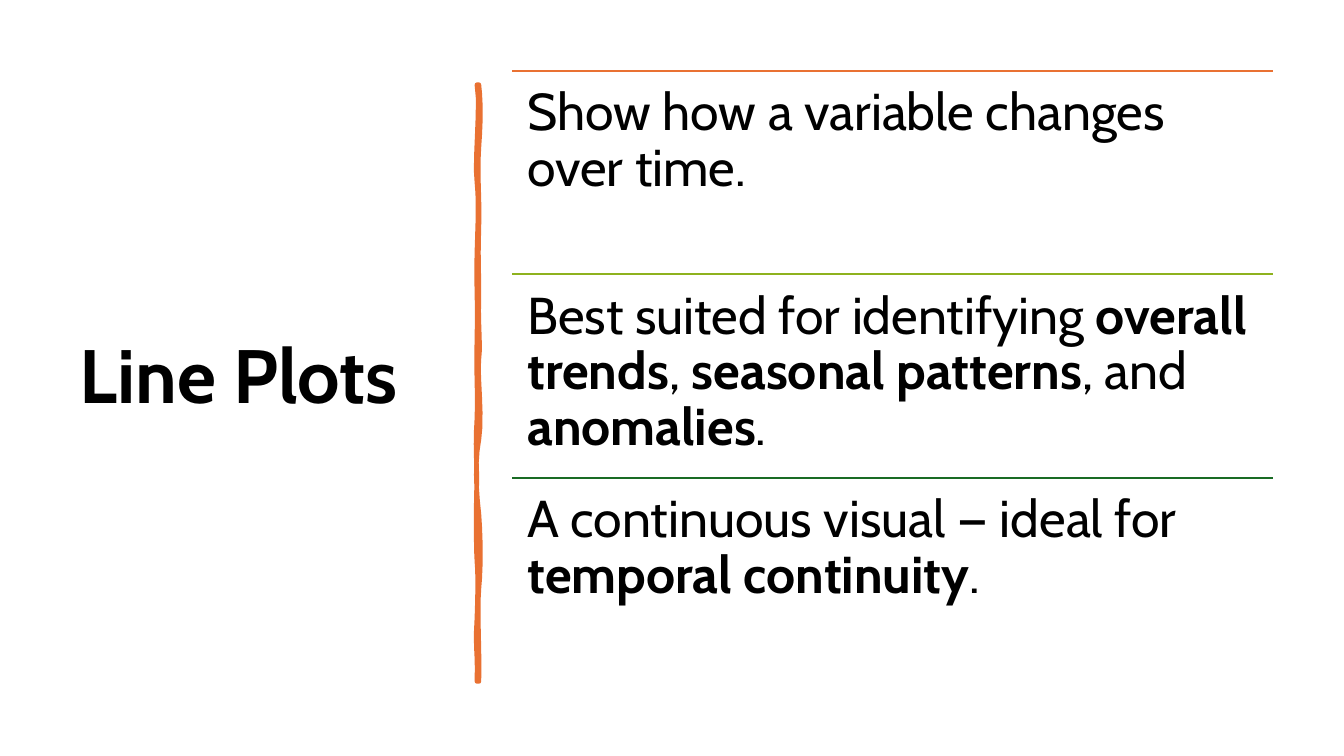
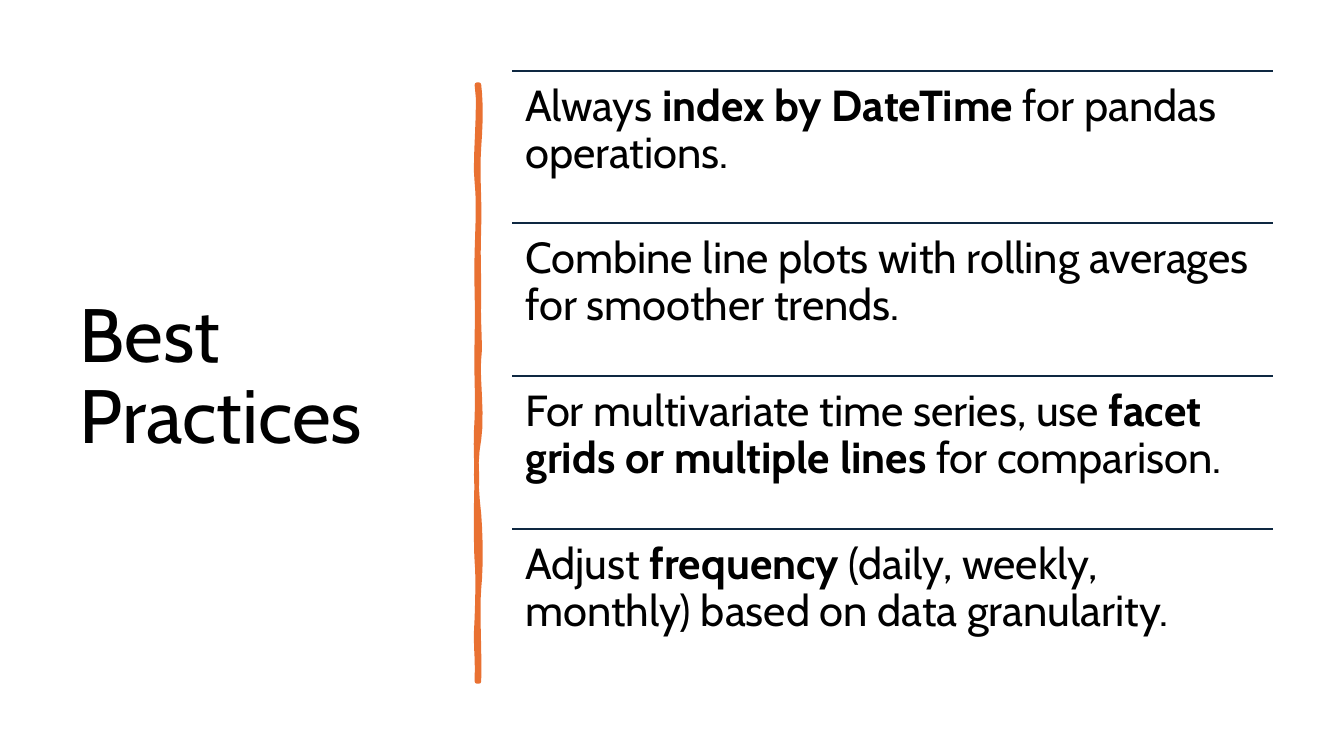
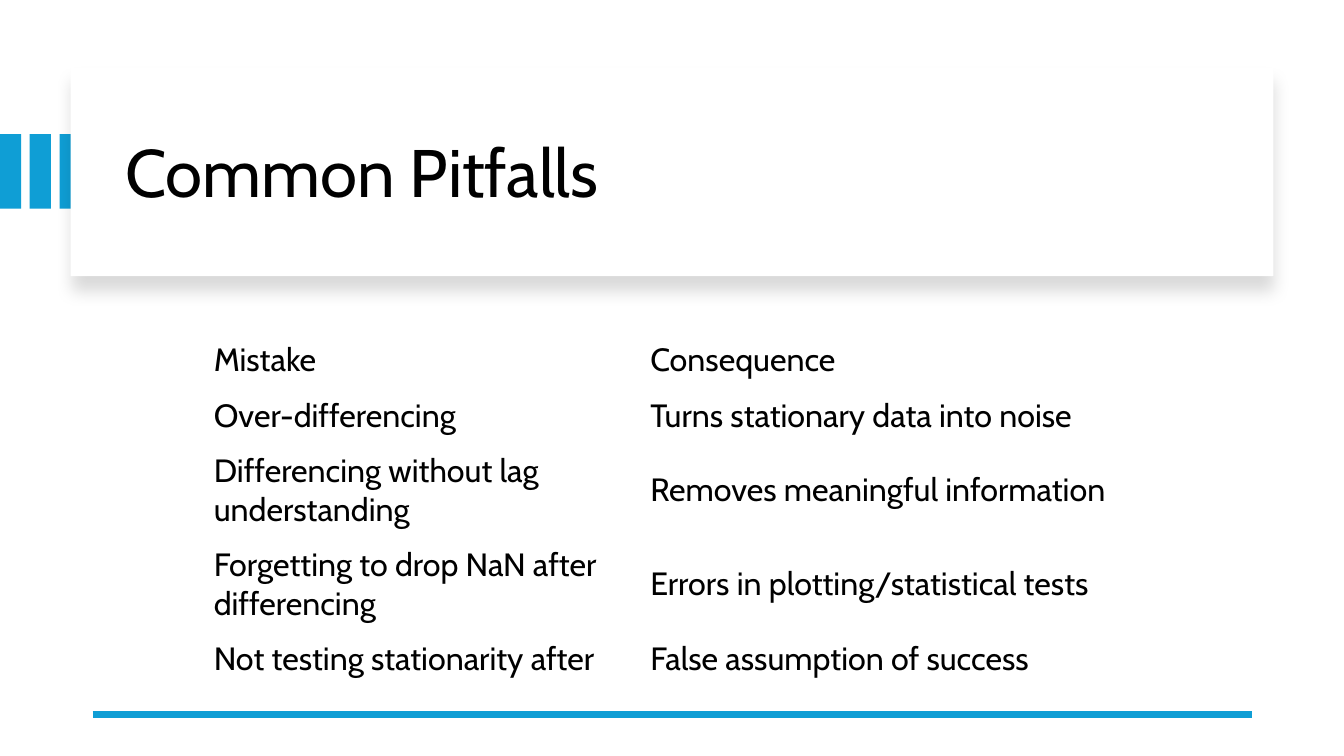
from lxml.etree import SubElement
from pptx import Presentation
from pptx.dml.color import RGBColor
from pptx.enum.shapes import MSO_CONNECTOR, MSO_SHAPE
from pptx.enum.text import MSO_ANCHOR, MSO_AUTO_SIZE, PP_ALIGN
from pptx.oxml import parse_xml
from pptx.oxml.ns import nsdecls, qn
from pptx.util import Inches, Pt

FONT = "Cabin"
COLORS = {
    "text": "000000",
    "white": "FFFFFF",
    "orange": "E97132",
    "lime": "8EB21E",
    "green": "196B24",
    "navy": "0E2841",
    "blue": "0F9ED5",
}

# Hand-drawn divider: start point, then two control points and an end per curve
DIVIDER_START = (4.75, 0.84)
DIVIDER_CURVES = [
    (4.77, 1.02, 4.77, 1.19, 4.75, 1.46),
    (4.73, 1.73, 4.76, 1.95, 4.75, 2.26),
    (4.74, 2.57, 4.75, 2.62, 4.75, 2.94),
    (4.74, 3.25, 4.77, 3.42, 4.75, 3.56),
    (4.73, 3.70, 4.79, 4.14, 4.75, 4.36),
    (4.71, 4.57, 4.72, 4.84, 4.75, 5.10),
    (4.77, 5.36, 4.77, 5.64, 4.75, 5.84),
    (4.73, 6.03, 4.76, 6.50, 4.75, 6.76),
    (4.74, 6.76, 4.73, 6.76, 4.73, 6.76),
    (4.74, 6.46, 4.71, 6.44, 4.73, 6.13),
    (4.74, 5.83, 4.74, 5.70, 4.73, 5.57),
    (4.72, 5.44, 4.72, 4.95, 4.73, 4.77),
    (4.73, 4.59, 4.71, 4.45, 4.73, 4.15),
    (4.74, 3.86, 4.72, 3.73, 4.73, 3.35),
    (4.74, 2.98, 4.72, 2.81, 4.73, 2.50),
    (4.74, 2.18, 4.75, 2.00, 4.73, 1.81),
    (4.70, 1.63, 4.77, 1.04, 4.73, 0.84),
    (4.74, 0.84, 4.74, 0.84, 4.75, 0.84),
]

# The list area on the right, shared by the slides with a divider
LIST_LEFT, LIST_TOP, LIST_WIDTH, LIST_HEIGHT = 5.08, 0.7, 7.55, 6.06

PITFALLS = [
    ("Mistake", "Consequence"),
    ("Over-differencing", "Turns stationary data into noise"),
    ("Differencing without lag understanding", "Removes meaningful information"),
    ("Forgetting to drop NaN after differencing",
     "Errors in plotting/statistical tests"),
    ("Not testing stationarity after", "False assumption of success"),
]


def rgb(name):
    return RGBColor.from_string(COLORS[name])


def write(frame, text, size, bold=False, spacing=None, anchor=MSO_ANCHOR.TOP):
    """Fill a frame or cell with one paragraph; *stars* switch bold."""
    frame.vertical_anchor = anchor
    para = getattr(frame, "text_frame", frame).paragraphs[0]
    para.alignment = PP_ALIGN.LEFT
    if spacing:
        para.line_spacing = spacing
    for index, part in enumerate(text.split("*")):
        if part:
            span = para.add_run()
            span.text = part
            span.font.name = FONT
            span.font.size = Pt(size)
            span.font.bold = bold or index % 2 == 1
            span.font.color.rgb = rgb("text")


def set_margins(target, across, down):
    target.margin_left = target.margin_right = Inches(across)
    target.margin_top = target.margin_bottom = Inches(down)


def add_page(deck):
    return deck.slides.add_slide(deck.slide_layouts[5])


def set_title(page, text, left, top, width, height, size=54, bold=False):
    title = page.shapes.title
    title.left, title.top = Inches(left), Inches(top)
    title.width, title.height = Inches(width), Inches(height)
    title.text_frame.word_wrap = True
    title.text_frame.auto_size = MSO_AUTO_SIZE.NONE
    write(title.text_frame, text, size, bold, 0.9, MSO_ANCHOR.MIDDLE)
    # Keep the title in front of the panel
    title.element.getparent().append(title.element)


def add_rule(page, left, right, top, color, width):
    rule = page.shapes.add_connector(
        MSO_CONNECTOR.STRAIGHT, Inches(left), Inches(top), Inches(right), Inches(top))
    rule.line.color.rgb = rgb(color)
    rule.line.width = Pt(width)
    SubElement(rule.element.spPr, qn("a:effectLst"))


def add_block(page, left, top, width, height, color):
    block = page.shapes.add_shape(
        MSO_SHAPE.RECTANGLE, Inches(left), Inches(top), Inches(width), Inches(height))
    block.shadow.inherit = False
    block.fill.solid()
    block.fill.fore_color.rgb = rgb(color)
    block.line.fill.background()
    return block


def add_soft_shadow(shape):
    effects = shape.element.spPr.find(qn("a:effectLst"))
    effects.append(parse_xml(
        f'<a:outerShdw {nsdecls("a")} blurRad="{Pt(11)}" dist="{Pt(10)}" '
        'dir="5400000" algn="t" rotWithShape="0">'
        f'<a:srgbClr val="{COLORS["text"]}"><a:alpha val="15000"/></a:srgbClr>'
        '</a:outerShdw>'))


def curve_points(start, curves, steps=6):
    """Sample a chain of cubic curves as points in EMU."""
    points = []
    for x1, y1, x2, y2, x3, y3 in curves:
        for step in range(1, steps + 1):
            t = step / steps
            u = 1 - t
            weights = (u ** 3, 3 * u * u * t, 3 * u * t * t, t ** 3)
            points.append(tuple(
                Inches(sum(w * value for w, value in zip(weights, values)))
                for values in ((start[0], x1, x2, x3), (start[1], y1, y2, y3))))
        start = (x3, y3)
    return points


def add_divider(page):
    x, y = DIVIDER_START
    builder = page.shapes.build_freeform(Inches(x), Inches(y))
    builder.add_line_segments(curve_points(DIVIDER_START, DIVIDER_CURVES), close=True)
    divider = builder.convert_to_shape()
    divider.shadow.inherit = False
    divider.fill.solid()
    divider.fill.fore_color.rgb = rgb("orange")
    divider.line.color.rgb = rgb("orange")
    divider.line.width = Pt(3.25)
    SubElement(divider.element.spPr.find(qn("a:ln")), qn("a:round"))


def add_list_page(deck, title, items, size, margin, bold_title=False):
    """Title on the left, divider, and equal ruled rows on the right."""
    page = add_page(deck)
    set_title(page, title, 0.69, 0.7, 3.74, 6.11, bold=bold_title)
    add_divider(page)
    row_height = LIST_HEIGHT / len(items)
    for index, (text, color) in enumerate(items):
        top = LIST_TOP + index * row_height
        add_rule(page, LIST_LEFT, LIST_LEFT + LIST_WIDTH, top, color, 1.5)
        box = page.shapes.add_textbox(
            Inches(LIST_LEFT), Inches(top), Inches(LIST_WIDTH), Inches(row_height))
        box.text_frame.word_wrap = True
        set_margins(box.text_frame, margin, margin)
        write(box.text_frame, text, size, spacing=0.9)


def add_plain_table(page, rows, left, top, widths, heights):
    table = page.shapes.add_table(
        len(rows), len(widths), Inches(left), Inches(top),
        Inches(sum(widths)), Inches(sum(heights))).table
    table.first_row = table.horz_banding = False
    for column, width in zip(table.columns, widths):
        column.width = Inches(width)
    for row, height, texts in zip(table.rows, heights, rows):
        row.height = Inches(height)
        for cell, text in zip(row.cells, texts):
            cell.fill.background()
            set_margins(cell, 0.13, 0.06)
            write(cell, text, 23, anchor=MSO_ANCHOR.MIDDLE)


def add_pitfalls_page(deck):
    page = add_page(deck)
    # Accent bars and title panel
    for index in range(3):
        add_block(page, index * 0.59 / 2, 1.33, 0.21, 0.74, "blue")
    add_soft_shadow(add_block(page, 0.7, 0.67, 11.93, 2.07, "white"))
    set_title(page, "Common Pitfalls", 1.14, 0.89, 11.13, 1.7, size=48)
    # Closing rule and table
    add_rule(page, 0.92, 12.42, 7.09, "blue", 4.5)
    add_plain_table(page, PITFALLS, 1.99, 3.3, (4.33, 5.01),
                    (0.55, 0.55, 0.93, 0.93, 0.55))


def main():
    deck = Presentation()
    deck.slide_width, deck.slide_height = Inches(13.33), Inches(7.5)
    add_list_page(deck, "Line Plots", [
        ("Show how a variable changes over time.", "orange"),
        ("Best suited for identifying *overall trends*, *seasonal patterns*, "
         "and *anomalies*.", "lime"),
        ("A continuous visual — ideal for *temporal continuity*.", "green"),
    ], size=37, margin=0.15, bold_title=True)
    add_list_page(deck, "Best Practices", [
        (text, "navy") for text in (
            "Always *index by DateTime* for pandas operations.",
            "Combine line plots with rolling averages for smoother trends.",
            "For multivariate time series, use *facet grids or multiple lines* "
            "for comparison.",
            "Adjust *frequency* (daily, weekly, monthly) based on data granularity.",
        )
    ], size=31, margin=0.13)
    add_pitfalls_page(deck)
    deck.save("out.pptx")


if __name__ == "__main__":
    main()
